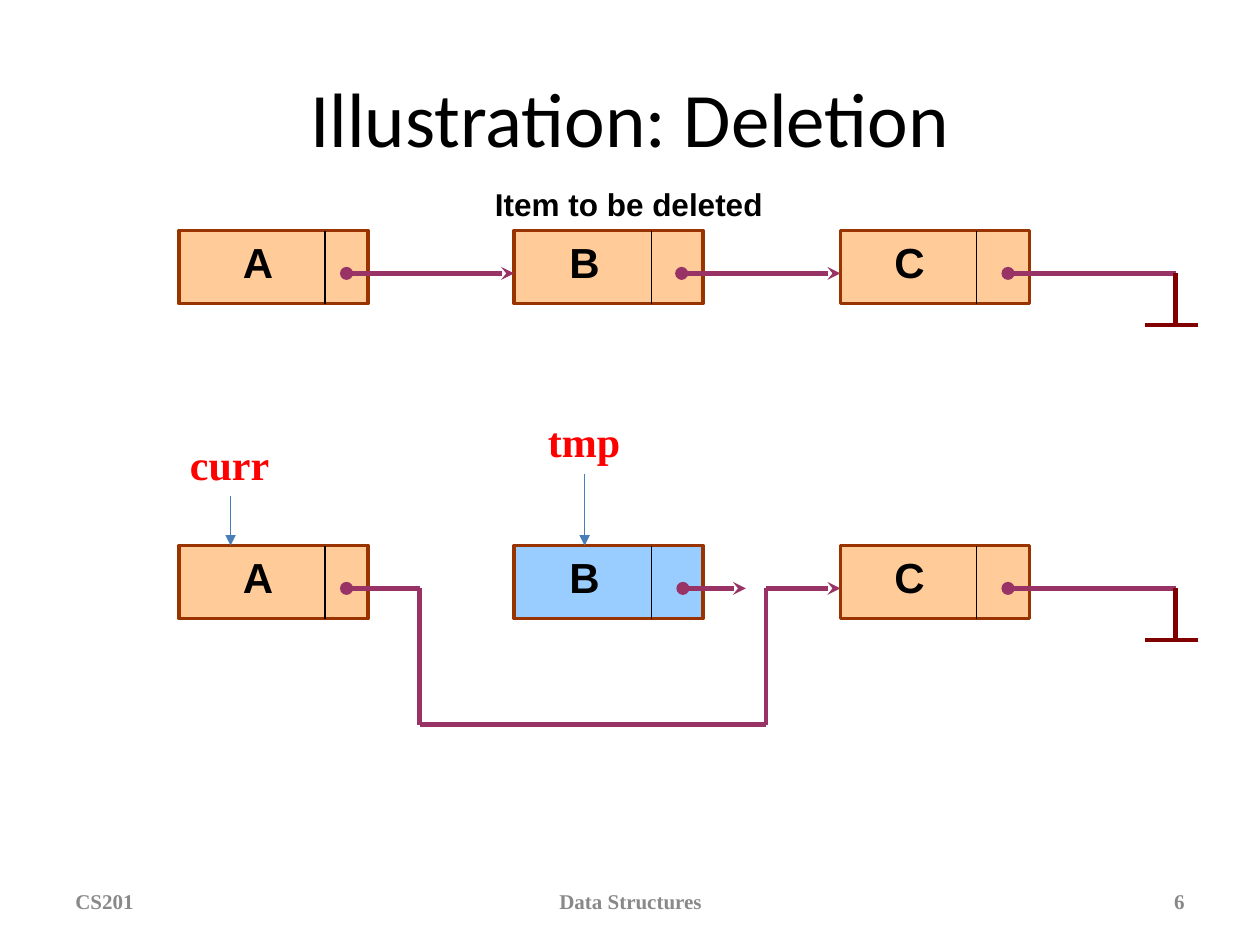
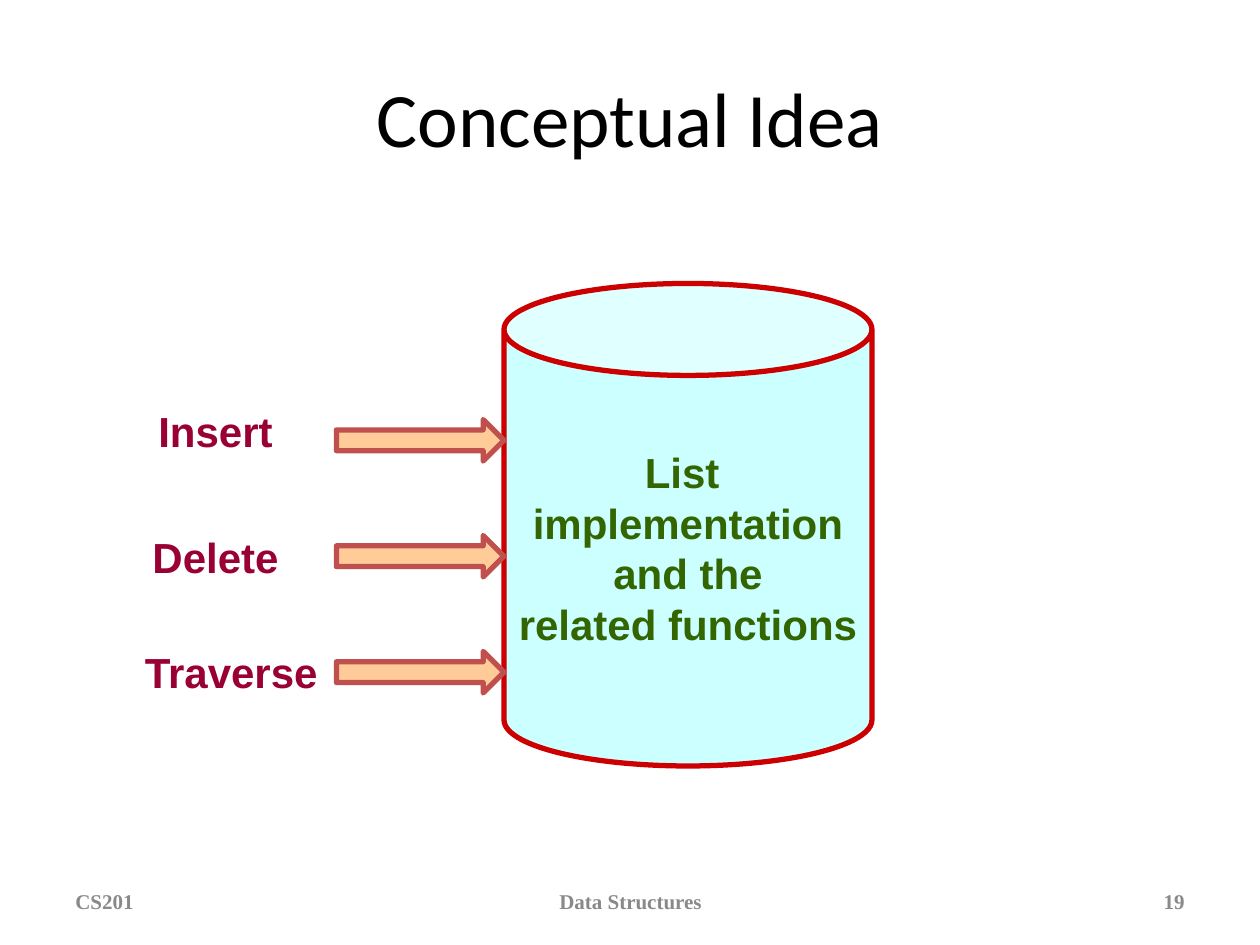
import pptx
import pptx.util
import pptx.dml.color
import pptx.enum.shapes
import pptx.enum.text
import pptx.oxml.ns
from dataclasses import dataclass
from lxml import etree

Inches = pptx.util.Inches
Pt = pptx.util.Pt
Shape = pptx.enum.shapes.MSO_SHAPE
Align = pptx.enum.text.PP_ALIGN
Anchor = pptx.enum.text.MSO_ANCHOR
qn = pptx.oxml.ns.qn

COLORS = {
    "text": "000000", "footer": "898989", "node": "FFCC99",
    "node_border": "993300", "deleted": "99CCFF", "link": "993366",
    "null": "800000", "pointer": "4A7EBB", "pointer_name": "FF0000",
    "store": "CCFFFF", "store_border": "CC0000", "store_text": "336600",
    "arrow_border": "C0504D", "operation": "990033",
}
NODE_WIDTH, NODE_HEIGHT, LINK_DROP = 1.5, 0.58, 0.34
LINK_OFFSET = 1.33
NULL_X = 9.33


@dataclass
class Style:
    font: str
    size: float
    color: str
    bold: bool = True


TITLE = Style("Calibri", 44, "text", False)
FOOTER = Style("Times New Roman", 12, "footer")
NODE_LABEL = Style("Arial", 24, "text")
CAPTION = Style("Arial", 18, "text")
POINTER = Style("Times New Roman", 24, "pointer_name")
STORE = Style("Arial", 24, "store_text")
OPERATION = Style("Arial", 24, "operation")


@dataclass
class Node:
    label: str
    left: float
    label_left: float
    divider: float


@dataclass
class Pointer:
    name: str
    left: float
    top: float
    width: float


@dataclass
class Operation:
    name: str
    label_top: float
    label_width: float
    arrow_top: float


NODES = [Node("A", 1.42, 1.83, 2.58), Node("B", 4.08, 4.42, 5.17),
         Node("C", 6.67, 7.0, 7.75)]
POINTERS = [Pointer("curr", 1.41, 3.43, 0.84), Pointer("tmp", 4.25, 3.25, 0.78)]
OPERATIONS = [Operation("Insert", 3.17, 1.42, 3.33),
              Operation("Delete", 4.17, 1.42, 4.25),
              Operation("Traverse", 5.08, 1.67, 5.17)]


def rgb(name: str) -> pptx.dml.color.RGBColor:
    return pptx.dml.color.RGBColor.from_string(COLORS[name])


def write(frame, text: str, style: Style, align=Align.LEFT, anchor=Anchor.TOP,
          wrap: bool = False) -> None:
    frame.text = text
    frame.word_wrap = wrap
    frame.vertical_anchor = anchor
    for paragraph in frame.paragraphs:
        paragraph.alignment = align
        for run in paragraph.runs:
            run.font.name = style.font
            run.font.size = Pt(style.size)
            run.font.bold = style.bold
            run.font.color.rgb = rgb(style.color)


def add_label(slide, text: str, left: float, top: float, width: float,
              height: float, style: Style, align=Align.LEFT,
              anchor=Anchor.TOP) -> None:
    box = slide.shapes.add_textbox(Inches(left), Inches(top),
                                   Inches(width), Inches(height))
    write(box.text_frame, text, style, align, anchor)


def add_block(slide, kind, left: float, top: float, width: float, height: float,
              fill: str, border: str, weight: float):
    block = slide.shapes.add_shape(kind, Inches(left), Inches(top),
                                   Inches(width), Inches(height))
    block.shadow.inherit = False
    block.fill.solid()
    block.fill.fore_color.rgb = rgb(fill)
    block.line.color.rgb = rgb(border)
    block.line.width = Pt(weight)
    return block


def add_line(slide, start: tuple[float, float], end: tuple[float, float],
             color: str = "link", weight: float = 2.5,
             head: str = "", tail: str = "") -> None:
    line = slide.shapes.add_connector(
        pptx.enum.shapes.MSO_CONNECTOR.STRAIGHT,
        Inches(start[0]), Inches(start[1]), Inches(end[0]), Inches(end[1]))
    line.line.color.rgb = rgb(color)
    line.line.width = Pt(weight)
    properties = line._element.spPr
    outline = properties.find(qn("a:ln"))
    for tag, kind in (("a:headEnd", head), ("a:tailEnd", tail)):
        if kind:
            etree.SubElement(outline, qn(tag), type=kind)
    etree.SubElement(properties, qn("a:effectLst"))


def add_node(slide, node: Node, top: float, fill: str = "node") -> None:
    add_block(slide, Shape.RECTANGLE, node.left, top, NODE_WIDTH, NODE_HEIGHT,
              fill, "node_border", 2)
    add_line(slide, (node.divider, top), (node.divider, top + NODE_HEIGHT),
             "text", 0.75)
    add_label(slide, node.label, node.label_left, top, 0.67, 0.5, NODE_LABEL)


def add_null_link(slide, last: Node, top: float) -> None:
    level, ground = top + LINK_DROP, top + 0.75
    add_line(slide, (last.left + LINK_OFFSET, level), (NULL_X, level), head="oval")
    add_line(slide, (NULL_X, level), (NULL_X, ground), "null")
    add_line(slide, (9.09, ground), (9.51, ground), "null")


def start_slide(deck, title: str, number: int):
    slide = deck.slides.add_slide(deck.slide_layouts[5])
    heading = slide.shapes.title
    heading.left, heading.top = Inches(0.5), Inches(0.3)
    heading.width, heading.height = Inches(9), Inches(1.25)
    write(heading.text_frame, title, TITLE, Align.CENTER, Anchor.MIDDLE, True)
    for text, left, width, align in (
            ("CS201", 0.5, 2.33, Align.LEFT),
            ("Data Structures", 3.42, 3.17, Align.CENTER),
            (str(number), 7.17, 2.33, Align.RIGHT)):
        add_label(slide, text, left, 6.95, width, 0.4, FOOTER, align, Anchor.MIDDLE)
    return slide


def build_deletion(deck) -> None:
    slide = start_slide(deck, "Illustration: Deletion", 6)
    before, after = 1.83, 4.33
    first, deleted, last = NODES

    # List before the deletion
    for node in NODES:
        add_node(slide, node, before)
    level = before + LINK_DROP
    for node, following in zip(NODES, NODES[1:]):
        add_line(slide, (node.left + LINK_OFFSET, level), (following.left, level),
                 head="oval", tail="stealth")
    add_null_link(slide, last, before)
    add_label(slide, "Item to be deleted", 3.83, 1.42, 2.75, 0.4, CAPTION)

    # List after the deletion
    for node in NODES:
        add_node(slide, node, after, "deleted" if node is deleted else "node")
    level = after + LINK_DROP
    add_line(slide, (5.42, level), (5.92, level), head="oval", tail="stealth")
    add_null_link(slide, last, after)

    # Link that goes round the deleted node
    detour = [(first.left + LINK_OFFSET, level), (3.33, level), (3.33, 5.75),
              (6.08, 5.75), (6.08, level), (last.left, level)]
    legs = list(zip(detour, detour[1:]))
    for leg in legs:
        add_line(slide, *leg, head="oval" if leg is legs[0] else "",
                 tail="stealth" if leg is legs[-1] else "")

    # Pointers into the list
    for pointer in POINTERS:
        add_label(slide, pointer.name, pointer.left, pointer.top, pointer.width,
                  0.5, POINTER)
        center = pointer.left + pointer.width / 2
        add_line(slide, (center, pointer.top + 0.51), (center, after),
                 "pointer", 0.75, tail="triangle")


def build_concept(deck) -> None:
    slide = start_slide(deck, "Conceptual Idea", 19)

    # Store that hides the implementation
    store = add_block(slide, Shape.CAN, 4, 2.25, 2.92, 3.83,
                      "store", "store_border", 3)
    store.adjustments[0] = 0.25
    write(store.text_frame, "List \nimplementation\nand the\nrelated functions",
          STORE, Align.CENTER, Anchor.MIDDLE)

    # Operations that act on it
    for operation in OPERATIONS:
        add_block(slide, Shape.RIGHT_ARROW, 2.67, operation.arrow_top, 1.33, 0.33,
                  "node", "arrow_border", 3)
        add_label(slide, operation.name, 1, operation.label_top,
                  operation.label_width, 0.5, OPERATION, Align.CENTER)


def main() -> None:
    deck = pptx.Presentation()
    deck.slide_width, deck.slide_height = Inches(10), Inches(7.5)
    build_deletion(deck)
    build_concept(deck)
    deck.save("out.pptx")


if __name__ == "__main__":
    main()
